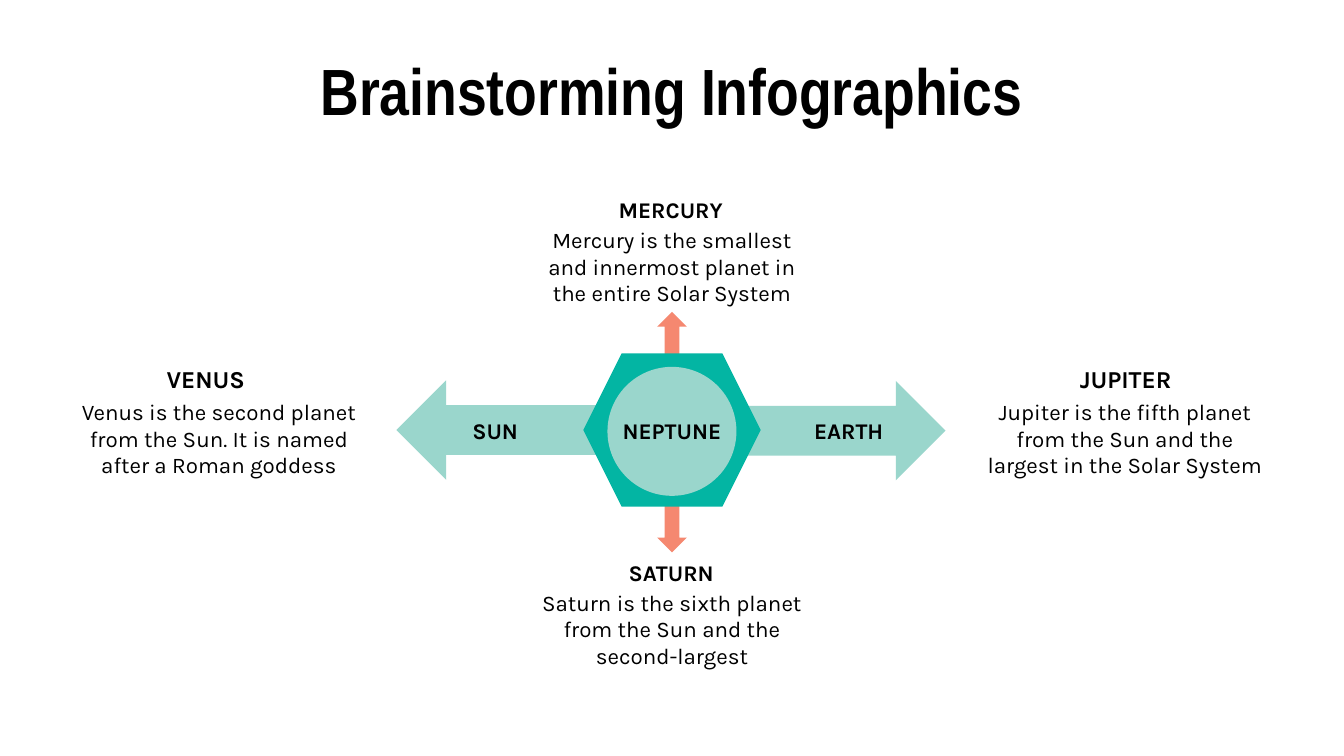
from pptx import Presentation
from pptx.dml.color import RGBColor
from pptx.enum import shapes, text
from pptx.util import Inches, Pt

BLACK = RGBColor(0x00, 0x00, 0x00)
WHITE = RGBColor(0xFF, 0xFF, 0xFF)
CORAL = RGBColor(0xF5, 0x88, 0x70)
MINT = RGBColor(0x9A, 0xD6, 0xCC)
TEAL = RGBColor(0x03, 0xB5, 0xA3)

BODY_WIDTH, BODY_HEIGHT = 2.26, 0.72
HEADING_HEIGHT = 0.38

# Heading, heading left, width, size and top; body left, top and wording
PLANETS = [
    ("VENUS", 0.79, 1.48, 13, 2.63, 0.5, 2.9,
     "Venus is the second planet from the Sun. It is named after a Roman goddess"),
    ("JUPITER", 7.69, 1.37, 13, 2.63, 7.24, 2.9,
     "Jupiter is the fifth planet from the Sun and the largest in the Solar System"),
    ("MERCURY", 4.25, 1.48, 12, 1.37, 3.87, 1.62,
     "Mercury is the smallest and innermost planet in the entire Solar System"),
    ("SATURN", 4.31, 1.37, 12, 4.07, 3.87, 4.32,
     "Saturn is the sixth planet from the Sun and the second-largest"),
]


def place(shape, left, top, width, height):
    shape.left, shape.top = Inches(left), Inches(top)
    shape.width, shape.height = Inches(width), Inches(height)


def write(shape, wording, size=12, font="Karla", bold=False, color=BLACK):
    frame = shape.text_frame
    frame.word_wrap = True
    frame.auto_size = text.MSO_AUTO_SIZE.NONE
    frame.vertical_anchor = text.MSO_ANCHOR.MIDDLE
    frame.margin_left = frame.margin_right = Inches(0.1)
    frame.margin_top = frame.margin_bottom = Inches(0.1)
    paragraph = frame.paragraphs[0]
    paragraph.alignment = text.PP_ALIGN.CENTER
    run = paragraph.add_run()
    run.text = wording
    run.font.size = Pt(size)
    run.font.name = font
    run.font.bold = bold
    run.font.color.rgb = color


def add_label(parent, wording, left, top, width, height, **style):
    label = parent.shapes.add_textbox(
        Inches(left), Inches(top), Inches(width), Inches(height))
    write(label, wording, **style)


def add_figure(slide, kind, left, top, width, height, fill, rotation=0):
    figure = slide.shapes.add_shape(
        kind, Inches(left), Inches(top), Inches(width), Inches(height))
    figure.rotation = rotation
    figure.shadow.inherit = False
    figure.fill.solid()
    figure.fill.fore_color.rgb = fill
    figure.line.fill.background()


def add_planet(slide, name, name_left, name_width, name_size, name_top,
               body_left, body_top, body):
    planet = slide.shapes.add_group_shape()
    add_label(planet, body, body_left, body_top, BODY_WIDTH, BODY_HEIGHT)
    add_label(planet, name, name_left, name_top, name_width, HEADING_HEIGHT,
              size=name_size, bold=True)


def main():
    deck = Presentation()
    # Widescreen, 16:9
    deck.slide_width = Inches(10)
    deck.slide_height = Inches(10 * 9 / 16)
    slide = deck.slides.add_slide(deck.slide_layouts[5])
    slide.background.fill.solid()
    slide.background.fill.fore_color.rgb = WHITE

    # Title
    title = slide.shapes.title
    place(title, 0.34, 0.37, 9.32, 0.59)
    write(title, "Brainstorming Infographics", size=35, font="Arial Narrow", bold=True)

    # Arrows running out from behind the hub
    kinds = shapes.MSO_SHAPE
    add_figure(slide, kinds.UP_DOWN_ARROW, 4.89, 2.32, 0.22, 1.79, CORAL)
    add_figure(slide, kinds.UP_ARROW, 5.65, 2.19, 0.74, 2.03, MINT, rotation=90)
    add_figure(slide, kinds.UP_ARROW, 3.6, 2.18, 0.74, 2.04, MINT, rotation=270)

    # Hub
    add_figure(slide, kinds.HEXAGON, 4.34, 2.63, 1.32, 1.14, TEAL)
    add_figure(slide, kinds.OVAL, 4.52, 2.73, 0.96, 0.96, MINT)
    add_label(slide, "NEPTUNE", 4.47, 3.07, 1.06, 0.27, bold=True)

    # Arrow labels
    for name, left in (("EARTH", 5.78), ("SUN", 3.15)):
        add_label(slide, name, left, 3.11, 1.07, 0.19, bold=True)

    # Planet descriptions
    for planet in PLANETS:
        add_planet(slide, *planet)

    deck.save("out.pptx")


if __name__ == "__main__":
    main()
